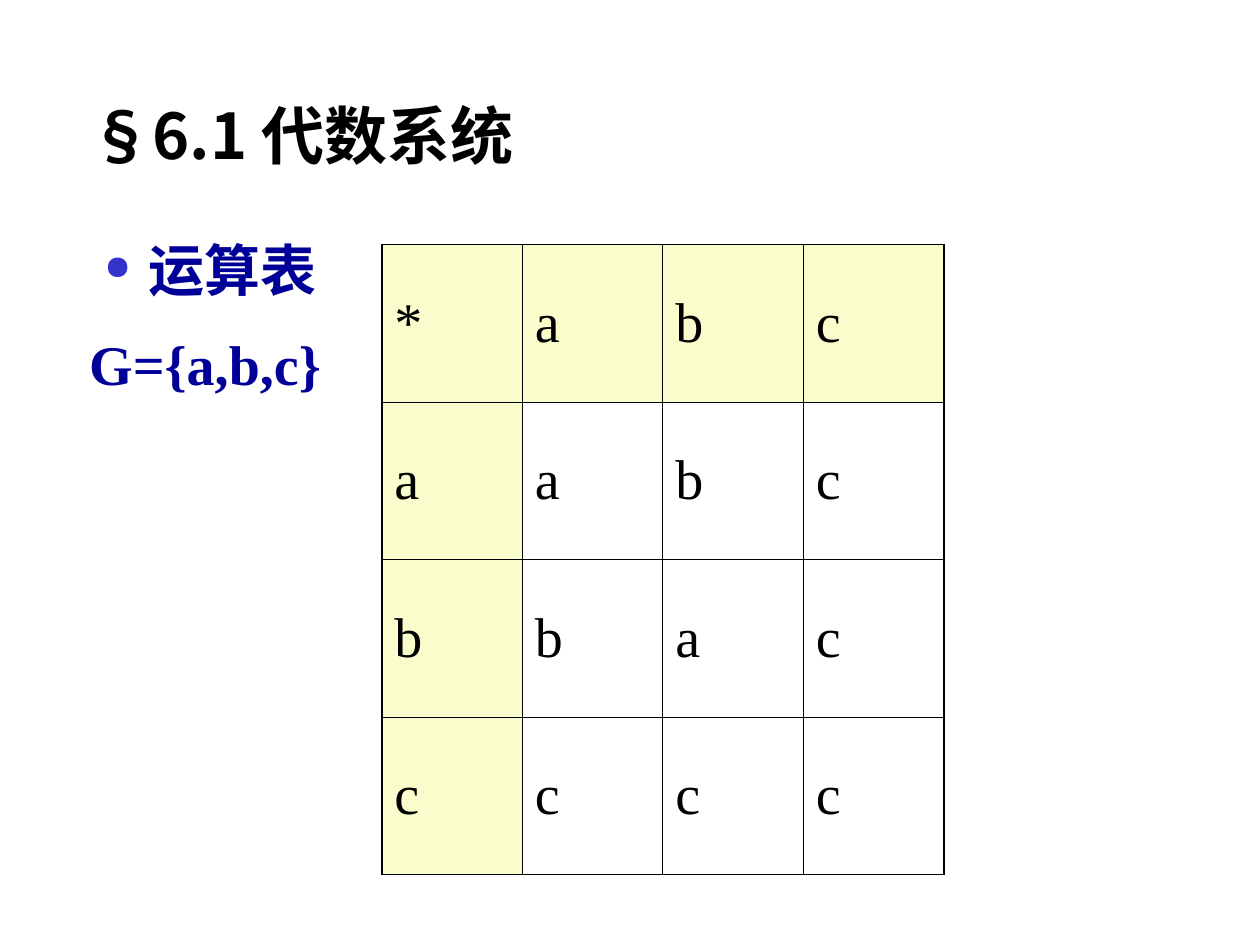
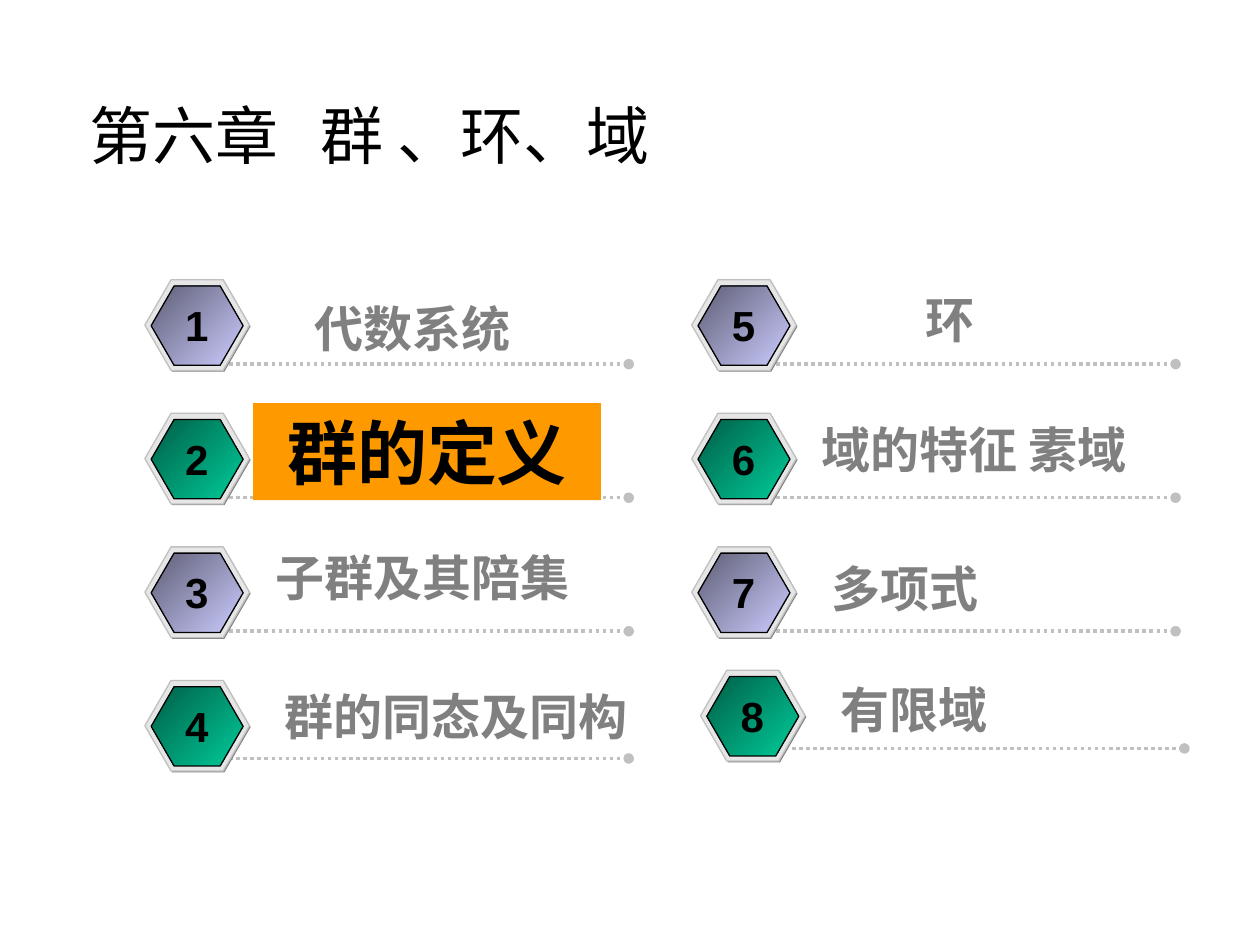
from lxml import etree
from pptx import Presentation
from pptx.dml.color import RGBColor
from pptx.enum.dml import MSO_LINE
from pptx.enum.shapes import MSO_CONNECTOR, MSO_SHAPE
from pptx.enum.text import MSO_ANCHOR, MSO_AUTO_SIZE, PP_ALIGN
from pptx.oxml.ns import qn
from pptx.util import Inches, Pt

HEX, RECT = MSO_SHAPE.HEXAGON, MSO_SHAPE.RECTANGLE
STRAIGHT, DOTS = MSO_CONNECTOR.STRAIGHT, MSO_LINE.ROUND_DOT
MIDDLE, FIXED = MSO_ANCHOR.MIDDLE, MSO_AUTO_SIZE.NONE
LEFT, CENTER = PP_ALIGN.LEFT, PP_ALIGN.CENTER

BLACK = RGBColor(0, 0, 0)
NAVY = RGBColor(0x00, 0x00, 0x99)
CREAM = RGBColor(0xF8, 0xFD, 0xCB)
GRAY = RGBColor(0x80, 0x80, 0x80)
SILVER = RGBColor(0xC0, 0xC0, 0xC0)
PALE = RGBColor(0xE6, 0xE6, 0xE6)
ORANGE = RGBColor(0xFF, 0x99, 0x00)
LILAC = RGBColor(0x5E, 0x5E, 0x76), RGBColor(0xCC, 0xCC, 0xFF)
GREEN = RGBColor(0x00, 0x5E, 0x47), RGBColor(0x00, 0xCC, 0x99)

SANS, SERIF, ARIAL = "Noto Sans CJK SC", "Times New Roman", "Arial"
TITLE = dict(name=SANS, size=Pt(36), bold=False)
LEAD = dict(name=SERIF, size=Pt(32), bold=True)
CELL = dict(name=SERIF, size=Pt(32), bold=False)
DIGIT = dict(name=ARIAL, size=Pt(24), bold=True)
LABEL = dict(name=SANS, size=Pt(28), bold=True)
FOCUS = dict(name=SANS, size=Pt(40), bold=True)


def inches(*values):
    return [Inches(value) for value in values]


def add(parent, tag, **attrs):
    return etree.SubElement(parent, qn(tag), attrs)


def write(para, text, style, color=BLACK, align=LEFT):
    para.alignment = align
    run = para.add_run()
    run.text = text
    for key, value in style.items():
        setattr(run.font, key, value)
    run.font.color.rgb = color
    latin = run.font._element.find(qn("a:latin"))
    latin.addnext(latin.makeelement(qn("a:ea"), {"typeface": SANS}))


def add_text(slide, box, text, style, color=BLACK, align=LEFT, wrap=True):
    frame = slide.shapes.add_textbox(*inches(*box)).text_frame
    frame.word_wrap = wrap
    write(frame.paragraphs[0], text, style, color, align)


def add_slide(deck, text, bold=False, tab=None):
    slide = deck.slides.add_slide(deck.slide_layouts[5])
    title = slide.shapes.title
    title.left, title.top, title.width, title.height = inches(0.61, 0.58, 8.77, 0.97)
    frame = title.text_frame
    frame.auto_size, frame.vertical_anchor = FIXED, MIDDLE
    para = frame.paragraphs[0]
    if tab:
        stops = add(para._p.get_or_add_pPr(), "a:tabLst")
        add(stops, "a:tab", pos=str(Inches(tab)), algn="l")
    write(para, text, dict(TITLE, bold=bold))
    return slide


def add_lead(slide, box):
    frame = slide.shapes.add_textbox(*inches(*box)).text_frame
    frame.word_wrap = True
    first, second = frame.paragraphs[0], frame.add_paragraph()
    props = first._p.get_or_add_pPr()
    props.set("marL", str(Inches(0.47)))
    props.set("indent", str(Inches(-0.35)))
    tint = add(props, "a:buClr")
    add(tint, "a:srgbClr", val="3333CC")
    add(props, "a:buSzPct", val="60000")
    add(props, "a:buChar", char="●")
    for para, text in (first, "运算表"), (second, "G={a,b,c}"):
        para.line_spacing = 1.4
        write(para, text, LEAD, NAVY)


def set_edges(cell, row, col, last):
    """Draw the four cell borders, heavier along the table's outside."""
    outer = {"a:lnL": col == 0, "a:lnR": col == last,
             "a:lnT": row == 0, "a:lnB": row == last}
    props = cell._tc.get_or_add_tcPr()
    for tag, heavy in outer.items():
        edge = add(props, tag, w=str(Pt(1.08 if heavy else 0.45)))
        add(add(edge, "a:solidFill"), "a:srgbClr", val="000000")


def add_grid(slide, box, rows):
    size = len(rows)
    table = slide.shapes.add_table(size, size, *inches(*box)).table
    table.first_row = table.horz_banding = False
    for i, row in enumerate(rows):
        for j, text in enumerate(row):
            cell = table.cell(i, j)
            set_edges(cell, i, j, size - 1)
            cell.vertical_anchor = MIDDLE
            if i == 0 or j == 0:
                cell.fill.solid()
                cell.fill.fore_color.rgb = CREAM
            else:
                cell.fill.background()
            write(cell.text_frame.paragraphs[0], text, CELL)


def add_shape(shapes, kind, box, fill, edge=None):
    """Add a flat shape; a pair of colours as fill makes a gradient."""
    shape = shapes.add_shape(kind, *inches(*box))
    shape.shadow.inherit = False
    if kind == HEX:
        shape.adjustments[0] = 0.289
    if isinstance(fill, RGBColor):
        shape.fill.solid()
        shape.fill.fore_color.rgb = fill
    else:
        shape.fill.gradient()
        shape.fill.gradient_angle = 315
        for stop, color, place in zip(shape.fill.gradient_stops, fill, (0, 1)):
            stop.color.rgb, stop.position = color, place
    if edge is None:
        shape.line.fill.background()
    else:
        shape.line.color.rgb = edge
        shape.line.width = Pt(0.75)
    return shape


def add_rule(slide, x, y, width):
    rule = slide.shapes.add_connector(STRAIGHT, *inches(x, y, x + width, y))
    rule.line.color.rgb = SILVER
    rule.line.width = Pt(2)
    rule.line.dash_style = DOTS
    add(rule.line._ln, "a:tailEnd", type="oval")
    add(rule._element.spPr, "a:effectLst")


def add_badge(slide, x, y, drop, number):
    """Add a numbered hexagon with its dotted rule, drop below the top."""
    add_rule(slide, x + 0.67, y + drop, 3.17)
    shapes = slide.shapes.add_group_shape().shapes
    add_shape(shapes, HEX, (x + 0.01, y + 0.01, 0.83, 0.72), GRAY)
    add_shape(shapes, HEX, (x, y, 0.83, 0.72), PALE, SILVER)
    tint = LILAC if number % 2 else GREEN
    add_shape(shapes, HEX, (x + 0.05, y + 0.05, 0.73, 0.63), tint, BLACK)
    add_text(slide, (x + 0.22, y + 0.11, 0.38, 0.5), str(number),
             DIGIT, align=CENTER, wrap=False)


def add_focus(slide, box, text):
    bar = add_shape(slide.shapes, RECT, box, ORANGE)
    frame = bar.text_frame
    frame.vertical_anchor = MSO_ANCHOR.TOP
    write(frame.paragraphs[0], text, FOCUS, align=CENTER)


def add_agenda(slide, left, top):
    for i in range(8):
        col, row = divmod(i, 4)
        x, y = left + 4.34 * col, top + 1.06 * row
        if i == 7:
            x, y = x + 0.07, y - 0.08
        add_badge(slide, x, y, 0.62 if row == 3 else 0.67, i + 1)
    labels = [
        ("代数系统", 1.25, 0.1, 1.83, LEFT),
        ("子群及其陪集", 0.94, 2.08, 2.75, LEFT),
        ("群的同态及同构", 1.01, 3.18, 2.99, LEFT),
        ("环", 5.35, 0.03, 2.08, CENTER),
        ("域的特征 素域", 5.27, 1.06, 2.91, LEFT),
        ("多项式", 5.35, 2.16, 2.91, LEFT),
        ("有限域", 5.42, 3.12, 2.99, LEFT),
    ]
    for text, x, y, width, align in labels:
        add_text(slide, (left + x, top + y, width, 0.57), text, LABEL, GRAY, align)
    add_focus(slide, (left + 0.86, top + 0.98, 2.76, 0.77), "群的定义")


def main():
    deck = Presentation()
    deck.slide_width, deck.slide_height = inches(10, 7.5)
    slide = add_slide(deck, "§6.1 代数系统", bold=True)
    add_lead(slide, (0.61, 1.61, 4.45, 5))
    add_grid(slide, (3.03, 1.94, 4.46, 5), ["*abc", "aabc", "bbac", "cccc"])
    slide = add_slide(deck, "第六章\t群 、环、域", tab=1.83)
    add_agenda(slide, 1.15, 2.22)
    deck.save("out.pptx")


if __name__ == "__main__":
    main()
